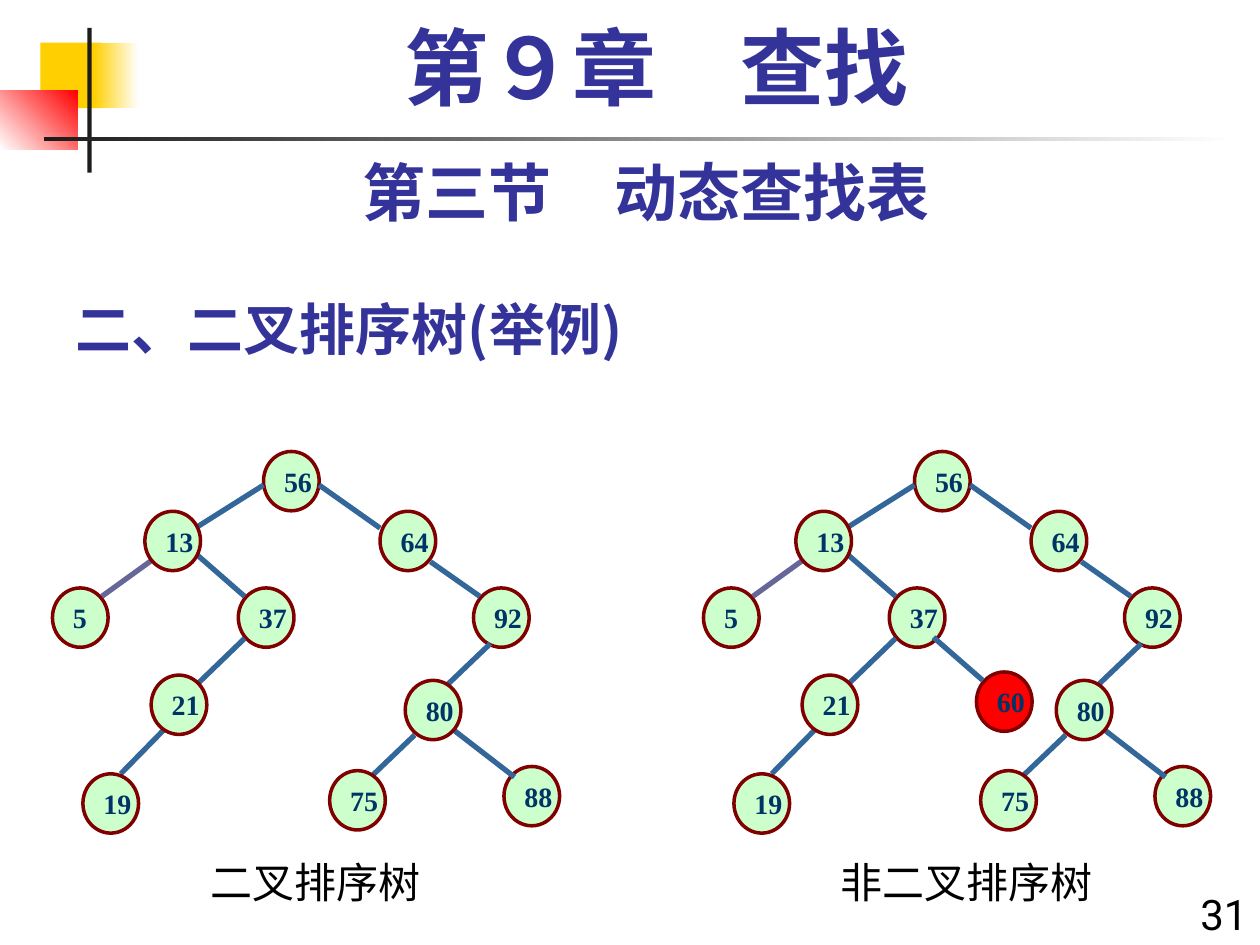
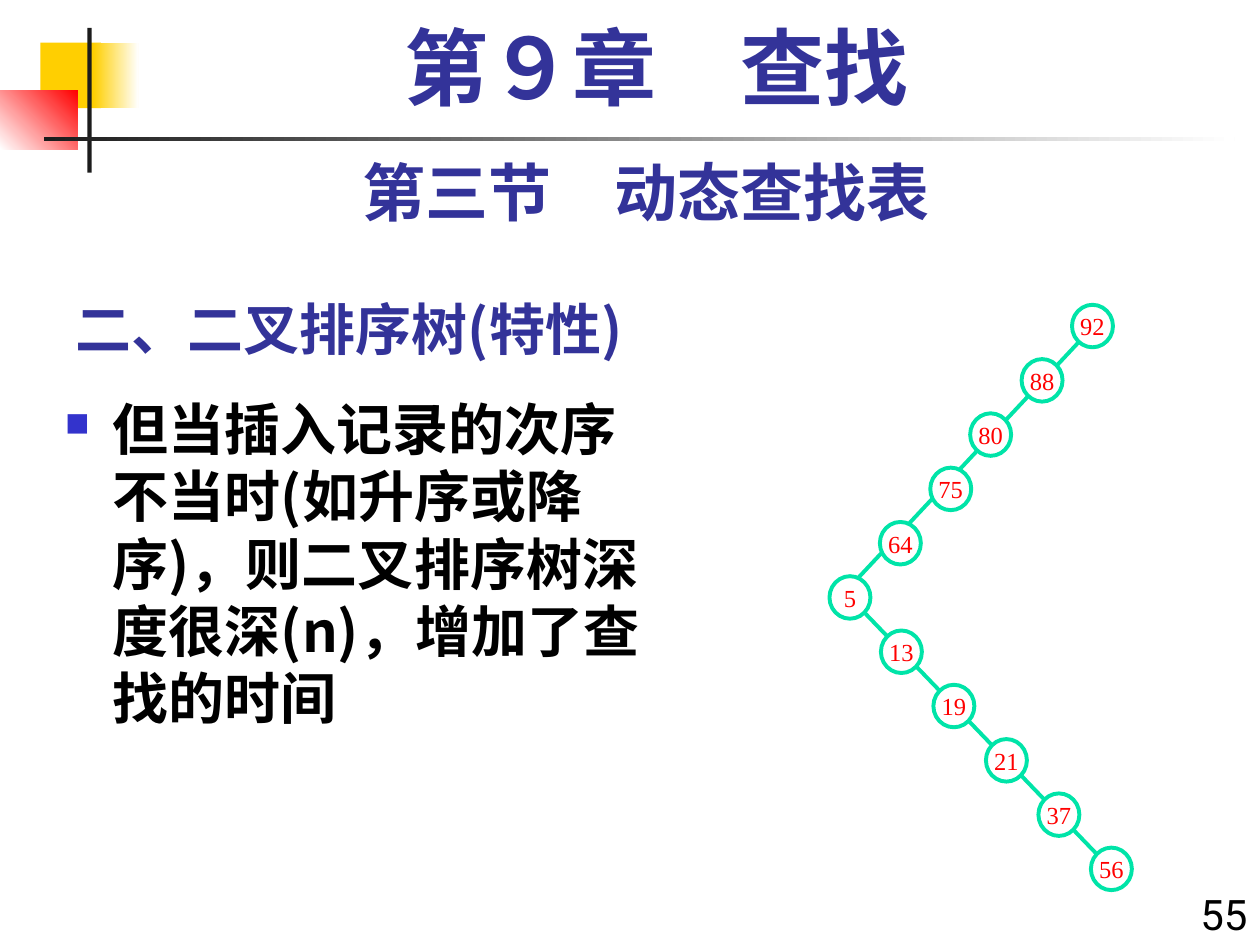
"""Build two slides on binary search trees, laid out on a grid of 120 columns by 90 rows."""
from typing import NamedTuple, Optional

from lxml.etree import SubElement
from pptx import Presentation
from pptx.dml.color import RGBColor as Rgb
from pptx.enum.shapes import MSO_CONNECTOR as Wire, MSO_SHAPE as Form
from pptx.enum.text import MSO_ANCHOR as Anchor, MSO_AUTO_SIZE as Fit, PP_ALIGN as Align
from pptx.oxml.ns import qn
from pptx.slide import Slide
from pptx.util import Emu, Inches, Pt

WIDE, HIGH = Inches(10), Inches(7.5)
COL, ROW = WIDE / 120, HIGH / 90

GOLD = Rgb(0xFF, 0xCF, 0x01)
WHITE = Rgb(0xFF, 0xFF, 0xFF)
RED = Rgb(0xFF, 0x00, 0x00)
INK = Rgb(0x1C, 0x1C, 0x1C)
BLACK = Rgb(0x00, 0x00, 0x00)
NAVY = Rgb(0x33, 0x33, 0x99)
MINT = Rgb(0xCC, 0xFF, 0xCC)
WINE = Rgb(0x80, 0x00, 0x00)
DEEP = Rgb(0x00, 0x33, 0x66)
STEEL = Rgb(0x33, 0x66, 0x99)
MAUVE = Rgb(0x66, 0x66, 0x99)
JADE = Rgb(0x00, 0xE4, 0xA8)

HAN, SANS, SERIF = "Noto Sans CJK SC", "Roboto", "Times New Roman"


class Box(NamedTuple):
    """A place on the grid."""
    x: float
    y: float
    w: float
    h: float


class Type(NamedTuple):
    """How a run of text looks."""
    size: float
    face: str
    color: Rgb
    bold: bool = False


class Band(NamedTuple):
    """A filled bar of the slide frame, fading to a second colour if given."""
    box: Box
    color: Rgb
    fade: Optional[Rgb] = None
    angle: float = 0


class Look(NamedTuple):
    """The style of a tree node."""
    w: float
    h: float
    fill: Rgb
    edge: Rgb
    width: float
    type: Type
    align: Align


class Node(NamedTuple):
    """A tree node by its left and top."""
    key: int
    x: float
    y: float


class Link(NamedTuple):
    """A line between two points."""
    x1: float
    y1: float
    x2: float
    y2: float
    color: Rgb = STEEL
    width: float = 3


BANDS = (
    Band(Box(3.84, 4.05, 5.76, 6.25), GOLD),
    Band(Box(8.9, 4.05, 4.3, 6.25), GOLD, WHITE),
    Band(Box(0, 8.6, 7.4, 5.6), WHITE, RED, 45),
    Band(Box(8.32, 2.65, 0.4, 13.8), INK),
    Band(Box(4.2, 13, 113.4, 0.4), INK, WHITE),
)
CHAPTER = Type(48, SERIF, NAVY, True)
SECTION = Type(36, SANS, NAVY, True)
TOPIC = Type(32, HAN, NAVY, True)
BODY = Type(32, HAN, BLACK, True)
PLAIN = Type(24, SANS, BLACK)

LEAF = Look(5.3, 5.65, MINT, WINE, 2, Type(16, SERIF, DEEP, True), Align.LEFT)
ODD = LEAF._replace(fill=RED)
RING = Look(3.9, 4.05, WHITE, JADE, 2.25, Type(14, SERIF, RED), Align.CENTER)

BACK = (Node(56, 20.1, 43), Node(64, 31.2, 48.7), Node(5, 0, 56),
        Node(92, 40.1, 56), Node(37, 17.7, 56), Node(88, 43, 73))
LINKS = (
    Link(20.1, 46.2, 13.6, 50.3), Link(9.4, 53.4, 4.7, 56.8, MAUVE),
    Link(25.4, 46.2, 31.2, 50.3), Link(13.6, 52.7, 18.3, 56.8),
    Link(18.3, 60.8, 12.5, 66.4), Link(36, 53.5, 40.7, 56.8),
    Link(41.7, 61.3, 37.2, 65.6), Link(38.3, 69.6, 44, 74),
    Link(11.2, 68.9, 6.5, 73.7), Link(34.5, 70, 30, 74.3),
)
FRONT = (Node(19, 2.9, 73.7), Node(80, 33.6, 64.8), Node(21, 9.4, 64.3),
         Node(13, 8.8, 48.7), Node(75, 26.4, 73.4))
WRONG = Node(60, 26, 64)
STRAY = Link(21.9, 60.7, 26.6, 64.8)

CHAIN = ((92, 102.1), (88, 97.3), (80, 92.4), (75, 88.6), (64, 83.8), (5, 79),
         (13, 83.9), (19, 88.9), (21, 93.9), (37, 98.9), (56, 103.9))
ARMS = (Link(103.1, 32.2, 79.9, 57, JADE, 2.25), Link(82, 58, 104.8, 81.7, JADE, 2.25))


def place(box: Box) -> tuple:
    """Turn grid cells into lengths."""
    return (Emu(round(box.x * COL)), Emu(round(box.y * ROW)),
            Emu(round(box.w * COL)), Emu(round(box.h * ROW)))


def write(para, text: str, type: Type) -> None:
    """Add one run."""
    run = para.add_run()
    run.text = text
    font = run.font
    font.size, font.name, font.bold = Pt(type.size), type.face, type.bold
    font.color.rgb = type.color
    SubElement(font._element, qn("a:ea")).set("typeface", HAN)


def label(slide: Slide, box: Box, text: str, type: Type, align: Align = Align.CENTER,
          anchor: Anchor = Anchor.TOP, fit: Fit = Fit.NONE):
    """Add a text box of one paragraph and return the paragraph."""
    frame = slide.shapes.add_textbox(*place(box)).text_frame
    frame.word_wrap, frame.auto_size, frame.vertical_anchor = True, fit, anchor
    para = frame.paragraphs[0]
    para.alignment = align
    write(para, text, type)
    return para


def shape(slide: Slide, form: Form, box: Box, color: Rgb):
    """Add a filled shape without line or shadow."""
    item = slide.shapes.add_shape(form, *place(box))
    item.shadow.inherit = False
    item.fill.solid()
    item.fill.fore_color.rgb = color
    item.line.fill.background()
    return item


def band(slide: Slide, part: Band) -> None:
    """Draw one bar of the frame."""
    fill = shape(slide, Form.RECTANGLE, part.box, part.color).fill
    if part.fade is not None:
        fill.gradient()
        fill.gradient_angle = part.angle
        for stop, color in zip(fill.gradient_stops, (part.color, part.fade)):
            stop.color.rgb = color


def knot(slide: Slide, node: Node, look: Look, shift: float = 0) -> None:
    """Draw one tree node with its key."""
    box = Box(node.x + shift, node.y, look.w, look.h)
    item = shape(slide, Form.OVAL, box, look.fill)
    item.line.color.rgb = look.edge
    item.line.width = Pt(look.width)
    frame = item.text_frame
    frame.word_wrap, frame.vertical_anchor = False, Anchor.MIDDLE
    para = frame.paragraphs[0]
    para.alignment = look.align
    write(para, str(node.key), look.type)


def join(slide: Slide, link: Link, shift: float = 0) -> None:
    """Draw one line of a tree."""
    ends = place(Box(link.x1 + shift, link.y1, link.x2 + shift, link.y2))
    line = slide.shapes.add_connector(Wire.STRAIGHT, *ends)
    line.line.color.rgb = link.color
    line.line.width = Pt(link.width)
    SubElement(line._element.spPr, qn("a:effectLst"))


def tree(slide: Slide, shift: float, name: str) -> None:
    """Draw the sample tree and its caption."""
    for node in BACK:
        knot(slide, node, LEAF, shift)
    for link in LINKS:
        join(slide, link, shift)
    for node in FRONT:
        knot(slide, node, LEAF, shift)
    label(slide, Box(shift + 11, 81, 28, 6), name, PLAIN, fit=Fit.SHAPE_TO_FIT_TEXT)


def start(deck, topic: str, page: int) -> Slide:
    """Add a slide with the shared frame and headings."""
    slide = deck.slides.add_slide(deck.slide_layouts[6])
    for part in BANDS:
        band(slide, part)
    label(slide, Box(6, 26, 75, 9), topic, TOPIC, Align.LEFT, Anchor.BOTTOM)
    label(slide, Box(112, 84, 8, 6), str(page), PLAIN, Align.RIGHT, fit=Fit.SHAPE_TO_FIT_TEXT)
    label(slide, Box(6, 14, 111, 8.4), "第三节　动态查找表", SECTION, fit=Fit.SHAPE_TO_FIT_TEXT)
    label(slide, Box(8, 2, 109, 10), "第９章　查找", CHAPTER).line_spacing = 0.9
    return slide


def bullet(para) -> None:
    """Give a paragraph a hanging square bullet."""
    props = para._p.get_or_add_pPr()
    props.set("marL", str(Inches(0.38)))
    props.set("indent", str(-Inches(0.38)))
    color = SubElement(props, qn("a:buClr"))
    SubElement(color, qn("a:srgbClr")).set("val", "3333CC")
    SubElement(props, qn("a:buSzPct")).set("val", "60000")
    SubElement(props, qn("a:buChar")).set("char", "■")


def sample(deck) -> None:
    """Compare a search tree with one that is not."""
    slide = start(deck, "二、二叉排序树(举例)", 31)
    tree(slide, 5, "二叉排序树")
    tree(slide, 67, "非二叉排序树")
    knot(slide, WRONG, ODD, 67)
    join(slide, STRAY, 67)


def trait(deck) -> None:
    """Show how a bad order makes the tree deep."""
    slide = start(deck, "二、二叉排序树(特性)", 55)
    text = "但当插入记录的次序不当时(如升序或降序)，则二叉排序树深度很深(n)，增加了查找的时间"
    bullet(label(slide, Box(5, 37, 59, 53), text, BODY, Align.LEFT))
    for arm in ARMS:
        join(slide, arm)
    for step, (key, x) in enumerate(CHAIN):
        knot(slide, Node(key, x, 29.03 + 5.17 * step), RING)


def main() -> None:
    """Build and save the deck."""
    deck = Presentation()
    deck.slide_width, deck.slide_height = WIDE, HIGH
    sample(deck)
    trait(deck)
    deck.save("out.pptx")


if __name__ == "__main__":
    main()
